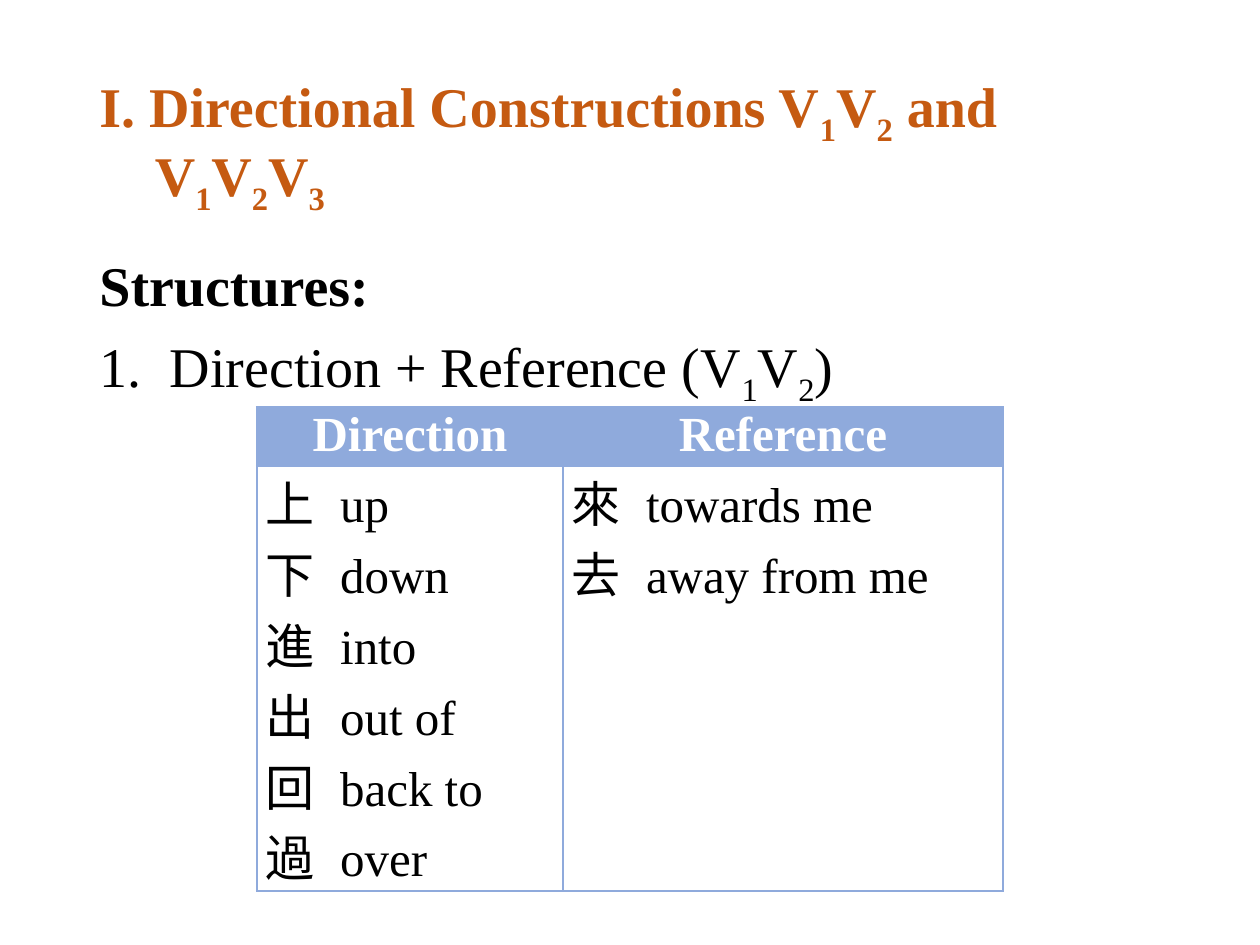
from lxml import etree
from pptx import Presentation
from pptx.dml.color import RGBColor
from pptx.enum.text import MSO_ANCHOR, PP_ALIGN
from pptx.oxml.ns import qn
from pptx.util import Inches, Pt

MIDDLE, TOP = MSO_ANCHOR.MIDDLE, MSO_ANCHOR.TOP
LEFT, CENTER, JUSTIFY = PP_ALIGN.LEFT, PP_ALIGN.CENTER, PP_ALIGN.JUSTIFY
FONT = "Times New Roman"
ORANGE, BLUE, BLACK, WHITE = "C55A11", "8FAADC", "000000", "FFFFFF"
WIDTH, HEIGHT = Inches(10), Inches(7.5)
TABLE_SIZE, TEXT_SIZE = 28, 32

HEADERS = ["Direction", "Reference"]
MEANINGS = [
    ["上\tup", "下\tdown", "進\tinto", "出\tout of", "回\tback to", "過\tover"],
    ["來\ttowards me", "去\taway from me"],
]


def rgb(value):
    return RGBColor.from_string(value)


def share(left, top, width, height):
    """Turn shares of the slide's size into lengths."""
    return [round(part * whole) for part, whole in
            zip((left, top, width, height), (WIDTH, HEIGHT) * 2)]


def style(span, size, color, bold):
    span.font.name = FONT
    span.font.size = Pt(size)
    span.font.bold = bold
    span.font.color.rgb = rgb(color)


def write(para, text, color, bold):
    """Write text in which the character after an underscore is a subscript."""
    def add(piece, lowered=False):
        if piece:
            span = para.add_run()
            span.text = piece
            style(span, TEXT_SIZE, color, bold)
            if lowered:
                span.font._element.set("baseline", "-25000")

    for number, line in enumerate(text.split("\n")):
        if number:
            para.add_line_break()
        first, *rest = line.split("_")
        add(first)
        for piece in rest:
            add(piece[0], lowered=True)
            add(piece[1:])
    para.line_spacing = 0.9


def hang(para, indent):
    props = para._p.get_or_add_pPr()
    props.set("marL", str(Inches(indent)))
    props.set("indent", str(-Inches(indent)))
    return props


def add_frame(page, box, anchor):
    frame = page.shapes.add_textbox(*box).text_frame
    frame.word_wrap = True
    frame.vertical_anchor = anchor
    return frame


def add_title(page, box):
    para = add_frame(page, box, MIDDLE).paragraphs[0]
    write(para, "I. Directional Constructions V_1V_2 and\nV_1V_2V_3", ORANGE, True)
    hang(para, 0.44)


def add_structures(page, box):
    frame = add_frame(page, box, TOP)
    heading, item = frame.paragraphs[0], frame.add_paragraph()
    write(heading, "Structures:", BLACK, True)
    write(item, "Direction + Reference (V_1V_2)", BLACK, False)
    for para in (heading, item):
        para.space_before = Pt(7.5)
    number = etree.SubElement(hang(item, 0.56), qn("a:buAutoNum"))
    number.set("type", "arabicPeriod")


def add_borders(cell):
    props = cell._tc.get_or_add_tcPr()
    for place, side in enumerate(("lnL", "lnR", "lnT", "lnB")):
        line = etree.Element(qn("a:" + side), w=str(Pt(1.5)))
        fill = etree.SubElement(line, qn("a:solidFill"))
        etree.SubElement(fill, qn("a:srgbClr"), val=BLUE)
        props.insert(place, line)


def fill_cell(cell, lines, fill, color, bold, align):
    cell.margin_left = cell.margin_right = Inches(0.07)
    cell.margin_top = cell.margin_bottom = 0
    cell.fill.solid()
    cell.fill.fore_color.rgb = rgb(fill)
    add_borders(cell)
    cell.text_frame.text = "\n".join(lines)
    for para in cell.text_frame.paragraphs:
        para.alignment = align
        style(para.runs[0], TABLE_SIZE, color, bold)
        # Tab stop that lines up the English meanings
        stops = etree.SubElement(para._p.get_or_add_pPr(), qn("a:tabLst"))
        etree.SubElement(stops, qn("a:tab"), pos=str(Inches(0.59)), algn="l")


def add_meanings(page, box):
    table = page.shapes.add_table(2, len(HEADERS), *box).table
    for column, part in zip(table.columns, (0.41, 0.59)):
        column.width = round(box[2] * part)
    # The second row is tall enough for six lines of Chinese text
    for row, part in zip(table.rows, (0.115, 0.885)):
        row.height = round(box[3] * part)
    for index, align in enumerate((LEFT, JUSTIFY)):
        fill_cell(table.cell(0, index), [HEADERS[index]], BLUE, WHITE, True, CENTER)
        fill_cell(table.cell(1, index), MEANINGS[index], WHITE, BLACK, False, align)


def main():
    deck = Presentation()
    deck.slide_width, deck.slide_height = WIDTH, HEIGHT
    page = deck.slides.add_slide(deck.slide_layouts[6])
    add_title(page, share(0.069, 0.053, 0.862, 0.193))
    add_structures(page, share(0.069, 0.267, 0.862, 0.635))
    add_meanings(page, share(0.204, 0.431, 0.592, 0.508))
    deck.save("out.pptx")


if __name__ == "__main__":
    main()
